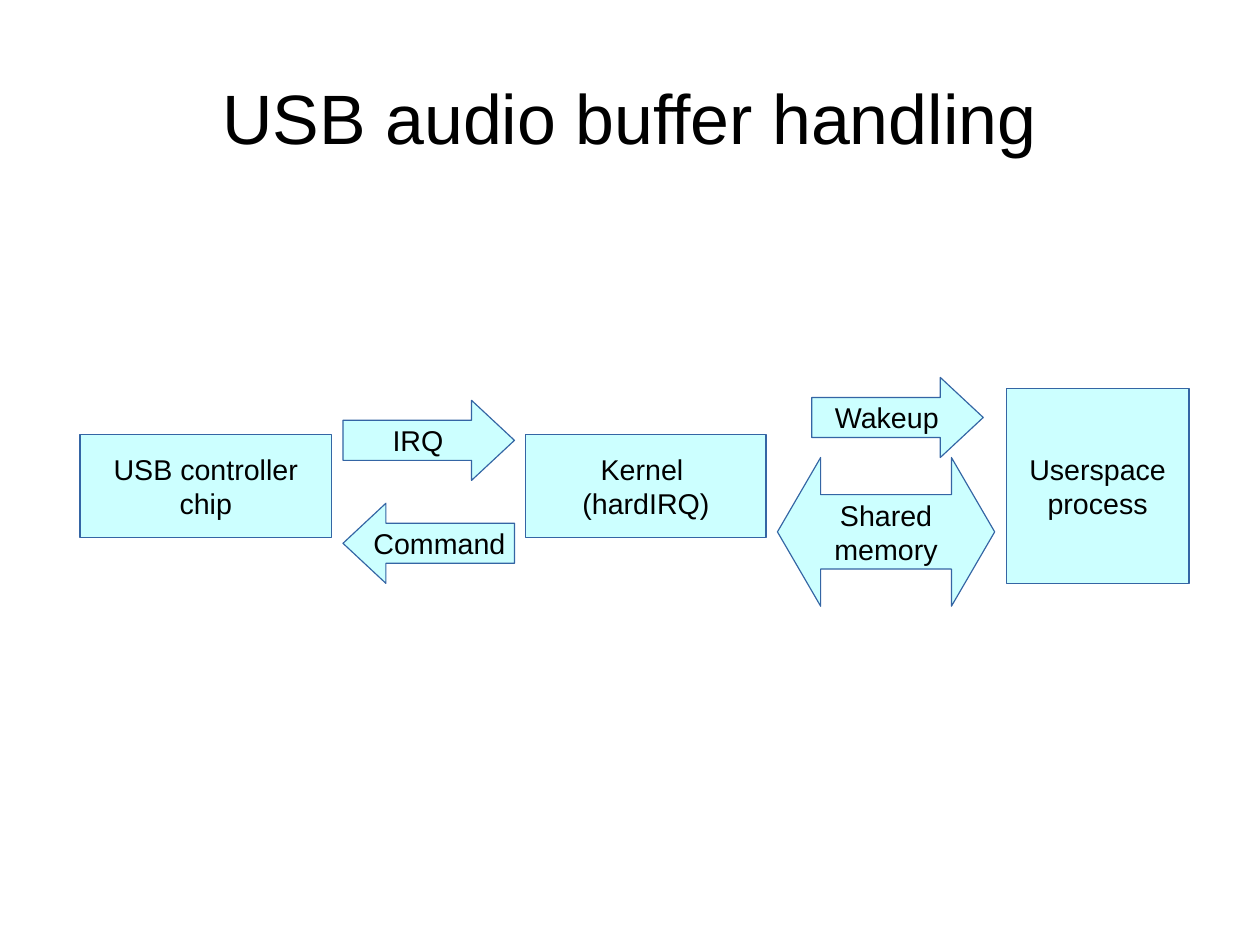
from dataclasses import dataclass

from pptx import Presentation
from pptx.dml.color import RGBColor
from pptx.enum.shapes import MSO_SHAPE as Preset
from pptx.enum.text import MSO_ANCHOR as Anchor, MSO_AUTO_SIZE as AutoSize, PP_ALIGN as Align
from pptx.util import Inches, Pt


@dataclass(frozen=True)
class Theme:
    font: str = "Arial"
    title_size: int = 44
    label_size: int = 18
    ink: str = "000000"
    fill: str = "CCFFFF"
    outline: str = "3465A4"


THEME = Theme()
SLIDE_WIDTH, SLIDE_HEIGHT = Inches(11.02), Inches(8.27)
CELL = Inches(0.1)
TITLE_SHARES = {"left": 0.05, "top": 0.04, "width": 0.9, "height": 0.167}
HEAD_LENGTH = 0.536
WIDE_HEAD_LENGTH = 0.291

BLOCKS = [
    ("USB controller\nchip", 7, 38, 22, 9),
    ("Kernel \n(hardIRQ)", 46, 38, 21, 9),
    ("Userspace\nprocess", 88, 34, 16, 17),
]
ARROWS = [
    ("IRQ", Preset.RIGHT_ARROW, HEAD_LENGTH, 30, 35, 15, 7),
    ("Command", Preset.LEFT_ARROW, HEAD_LENGTH, 30, 44, 15, 7),
    ("Wakeup", Preset.RIGHT_ARROW, HEAD_LENGTH, 71, 33, 15, 7),
    ("Shared\nmemory", Preset.LEFT_RIGHT_ARROW, WIDE_HEAD_LENGTH, 68, 40, 19, 13),
]


def apply_format(target, values):
    for name, value in values.items():
        setattr(target, name, value)


def write_text(shape, text, size, frame_format):
    frame = shape.text_frame
    frame.text = text
    apply_format(frame, {"vertical_anchor": Anchor.MIDDLE, **frame_format})
    for paragraph in frame.paragraphs:
        paragraph.alignment = Align.CENTER
        apply_format(paragraph.font, {"name": THEME.font, "size": Pt(size)})
        paragraph.font.color.rgb = RGBColor.from_string(THEME.ink)


def add_title(slide, text):
    title = slide.shapes.title
    extents = {"left": SLIDE_WIDTH, "top": SLIDE_HEIGHT, "width": SLIDE_WIDTH, "height": SLIDE_HEIGHT}
    apply_format(title, {name: int(extents[name] * share) for name, share in TITLE_SHARES.items()})
    margins = dict.fromkeys(("margin_left", "margin_top", "margin_right", "margin_bottom"), 0)
    write_text(title, text, THEME.title_size, {"auto_size": AutoSize.SHAPE_TO_FIT_TEXT, **margins})


def add_labelled_shape(slide, preset, text, column, row, columns, rows):
    shape = slide.shapes.add_shape(preset, column * CELL, row * CELL, columns * CELL, rows * CELL)
    shape.shadow.inherit = False
    shape.fill.solid()
    shape.fill.fore_color.rgb = RGBColor.from_string(THEME.fill)
    shape.line.color.rgb = RGBColor.from_string(THEME.outline)
    shape.line.width = Pt(0)
    write_text(shape, text, THEME.label_size, {"word_wrap": False})
    return shape


def add_block(slide, text, *cells):
    add_labelled_shape(slide, Preset.FLOWCHART_PROCESS, text, *cells)


def add_arrow(slide, text, preset, head_length, *cells):
    arrow = add_labelled_shape(slide, preset, text, *cells)
    arrow.adjustments[0] = 0.5
    arrow.adjustments[1] = head_length


def main():
    presentation = Presentation()
    apply_format(presentation, {"slide_width": SLIDE_WIDTH, "slide_height": SLIDE_HEIGHT})
    slide = presentation.slides.add_slide(presentation.slide_layouts.get_by_name("Title Only"))
    add_title(slide, "USB audio buffer handling")
    for block in BLOCKS:
        add_block(slide, *block)
    for arrow in ARROWS:
        add_arrow(slide, *arrow)
    presentation.save("out.pptx")


if __name__ == "__main__":
    main()
